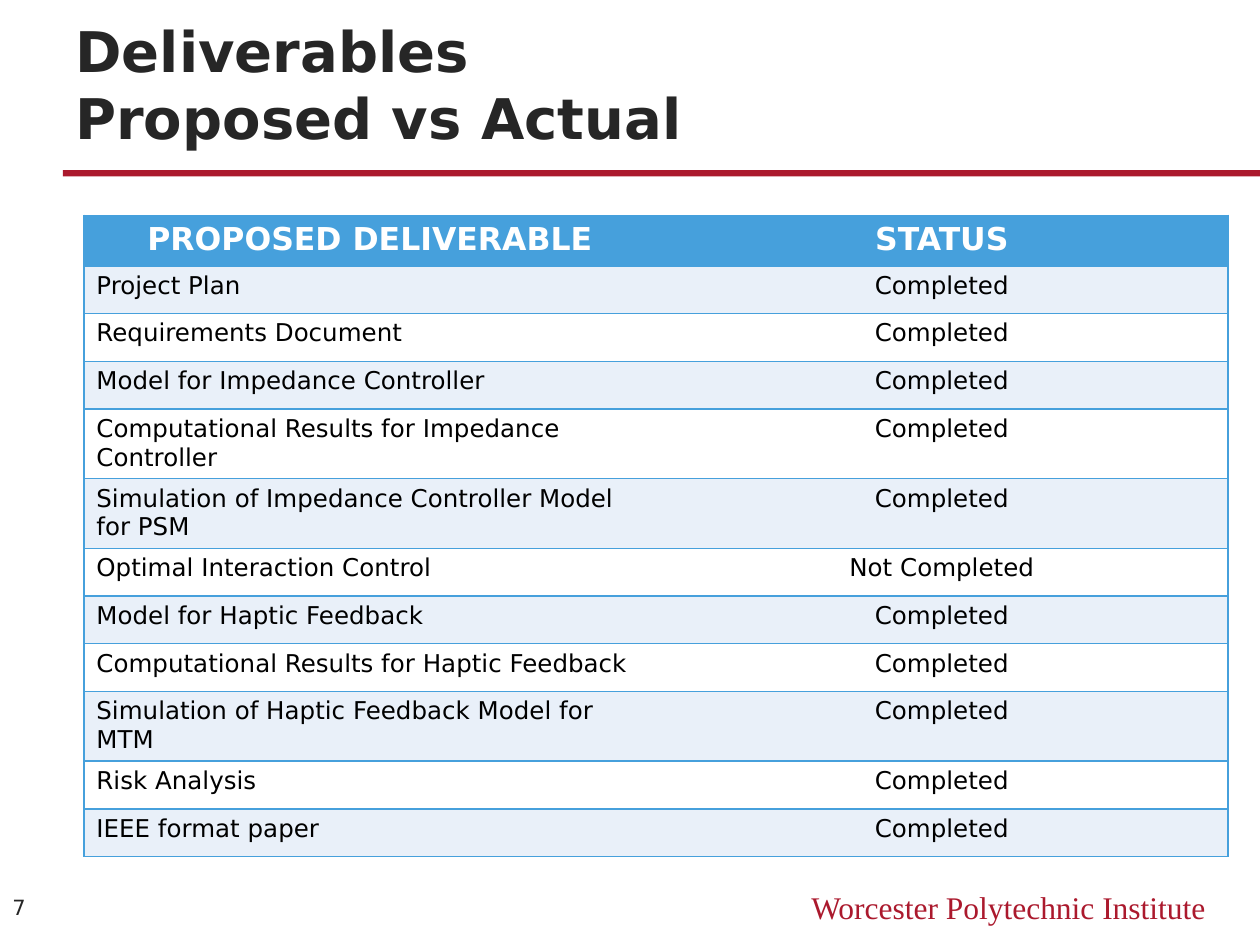
"""Builds the slide that sets proposed deliverables against their status."""
from lxml.etree import SubElement as Sub
from pptx import Presentation
from pptx.dml.color import RGBColor as RGB
from pptx.enum.shapes import MSO_SHAPE as Shape
from pptx.enum.text import MSO_ANCHOR as Anchor, PP_ALIGN as Align
from pptx.oxml.ns import qn
from pptx.util import Cm, Pt

HUES = {"red": "AB192D", "ink": "262626", "blue": "46A0DC",
        "pale": "E9F0F9", "white": "FFFFFF", "black": "000000"}
SANS, SERIF = "DejaVu Sans", "Times New Roman"
PLAIN = "{2D5ABB26-0587-4C30-8999-92F81FD0307C}"


def write(frame, text, hue, align, form):
    para = frame.paragraphs[0]
    para.text = text
    para.alignment = align
    for run in para.runs:
        run.font.color.rgb = RGB.from_string(HUES[hue])
        for key, val in form.items():
            setattr(run.font, key, val)


def edge(cell, sides):
    props = cell._tc.get_or_add_tcPr()
    for side in sides:
        line = Sub(props, qn(f"a:ln{side}"), w=str(Pt(1)))
        fill = Sub(line, qn("a:solidFill"))
        Sub(fill, qn("a:srgbClr"), val=HUES["blue"])


deck = Presentation()
deck.slide_width, deck.slide_height = Cm(25.4), Cm(19.05)
slide = deck.slides.add_slide(deck.slide_layouts[6])

rule = slide.shapes.add_shape(
    Shape.RECTANGLE, Cm(1.27), Cm(3.43), Cm(24.13), Cm(0.13))
rule.shadow.inherit = False
rule.fill.solid()
rule.fill.fore_color.rgb = RGB.from_string(HUES["red"])
rule.line.fill.background()

labels = [
    ("Worcester Polytechnic Institute", (15.24, 17.78, 9.32, 1.02),
     "red", Align.RIGHT, Anchor.TOP, {"name": SERIF, "size": Pt(18)}),
    ("Deliverables\vProposed vs Actual", (1.27, 0.93, 22.86, 2.24),
     "ink", Align.LEFT, Anchor.BOTTOM,
     {"name": SANS, "size": Pt(32), "bold": True}),
    ("7", (0, 17.75, 1.27, 1.09),
     "ink", Align.LEFT, Anchor.MIDDLE, {"name": SANS, "size": Pt(12)}),
]
for text, place, hue, align, anchor, form in labels:
    frame = slide.shapes.add_textbox(*map(Cm, place)).text_frame
    frame.word_wrap = True
    frame.vertical_anchor = anchor
    write(frame, text, hue, align, form)

tasks = [
    "Project Plan",
    "Requirements Document",
    "Model for Impedance Controller",
    "Computational Results for Impedance Controller",
    "Simulation of Impedance Controller Model for PSM",
    "Optimal Interaction Control",
    "Model for Haptic Feedback",
    "Computational Results for Haptic Feedback",
    "Simulation of Haptic Feedback Model for MTM",
    "Risk Analysis",
    "IEEE format paper",
]
undone = {"Optimal Interaction Control"}
rows = [("PROPOSED DELIVERABLE", "STATUS")]
rows += [(task, "Not Completed" if task in undone else "Completed")
         for task in tasks]

high = 0.96
table = slide.shapes.add_table(
    len(rows), 2, Cm(1.69), Cm(4.34), Cm(23.06), Cm(high * len(rows))).table
table._tbl.tblPr.find(qn("a:tableStyleId")).text = PLAIN
for r, row in enumerate(rows):
    table.rows[r].height = Cm(high)
    head = r == 0
    hue = "blue" if head else "pale" if r % 2 else "white"
    form = {"name": SANS, "size": Pt(18 if head else 14), "bold": head}
    for c, text in enumerate(row):
        cell = table.cell(r, c)
        edge(cell, "RTB" if c else "LTB")
        cell.fill.solid()
        cell.fill.fore_color.rgb = RGB.from_string(HUES[hue])
        cell.margin_top = cell.margin_bottom = Cm(0.13 if head else 0.11)
        align = Align.CENTER if head or c else Align.LEFT
        write(cell.text_frame, text, "white" if head else "black", align, form)

deck.save("out.pptx")
